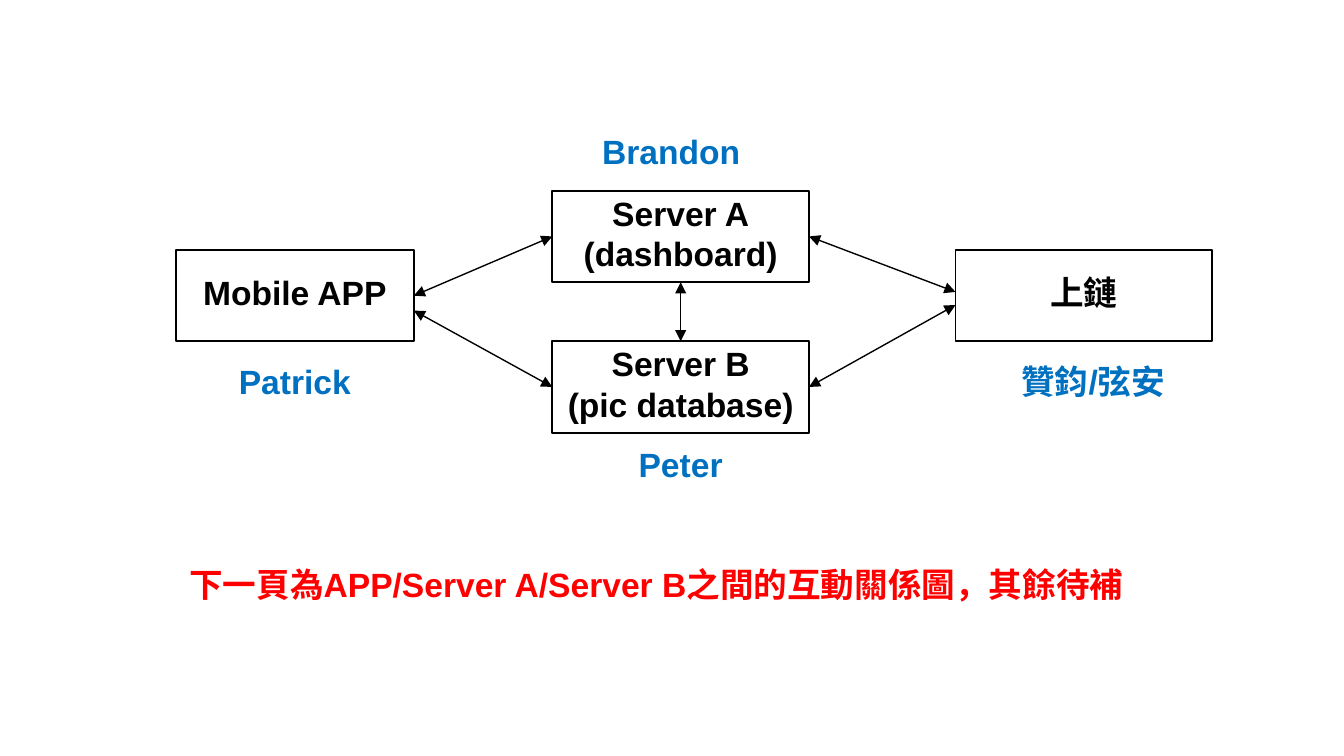
from dataclasses import dataclass

from lxml import etree
from pptx import Presentation
from pptx import util as u
from pptx.dml.color import RGBColor
from pptx.enum import shapes, text
from pptx.oxml import ns

Pt = u.Pt


@dataclass
class Theme:
    """Colours, type and line widths of the slide."""
    ink: str = "000000"
    paper: str = "FFFFFF"
    owner: str = "0070C0"
    alert: str = "FF0000"
    font: str = "Arial"
    size: float = 18
    edge: float = 1
    link: float = 0.75


look = Theme()


def rgb(code):
    """Turn a hex code into a colour."""
    return RGBColor.from_string(code)


def write(shape, words, color, align=text.PP_ALIGN.CENTER):
    """Fill a shape with bold lines of text."""
    frame = shape.text_frame
    frame.word_wrap = True
    frame.vertical_anchor = text.MSO_ANCHOR.MIDDLE
    frame.margin_top, frame.margin_bottom = Pt(0), Pt(3.6)
    frame.text = words
    for para in frame.paragraphs:
        para.alignment = align
        font = para.font
        font.name, font.size, font.bold = look.font, Pt(look.size), True
        font.color.rgb = rgb(color)


def node(slide, box, words):
    """Draw one outlined system box."""
    shape = slide.shapes.add_shape(
        shapes.MSO_SHAPE.RECTANGLE, *map(Pt, box))
    shape.shadow.inherit = False
    shape.fill.solid()
    shape.fill.fore_color.rgb = rgb(look.paper)
    shape.line.color.rgb = rgb(look.ink)
    shape.line.width = Pt(look.edge)
    write(shape, words, look.ink)


def label(slide, box, words, color, align=text.PP_ALIGN.CENTER):
    """Place free text in a box."""
    write(slide.shapes.add_textbox(*map(Pt, box)), words, color, align)


def link(slide, start, end):
    """Join two points with a two-headed arrow."""
    line = slide.shapes.add_connector(
        shapes.MSO_CONNECTOR.STRAIGHT, *map(Pt, start + end))
    line.line.color.rgb = rgb(look.ink)
    line.line.width = Pt(look.link)
    for tag in ("a:headEnd", "a:tailEnd"):
        etree.SubElement(line.line._get_or_add_ln(), ns.qn(tag),
                         type="triangle")
    etree.SubElement(line._element.spPr, ns.qn("a:effectLst"))


def diagram(slide, left, top, width, height):
    """Draw the systems, their owners and their links."""
    slim, wide, tall = 127.4, 137.5, 49
    hub, end = left + 201.6, left + width - wide
    side, low = top + 31.7, top + height - tall

    for x, y, w, words in (
            (left, side, slim, "Mobile APP"),
            (hub, top, wide, "Server A\n(dashboard)"),
            (hub, low, wide, "Server B\n(pic database)"),
            (end, side, wide, "上鏈")):
        node(slide, (x, y, w, tall), words)

    app, far, core = left + slim, hub + wide, hub + wide / 2
    mid, high, deep = side + tall / 2, top + tall / 2, low + tall / 2
    for start, stop in (
            ((app, mid), (hub, high)),
            ((app, mid + 8), (hub, deep)),
            ((core, low), (core, top + tall)),
            ((far, deep), (end, mid + 5)),
            ((far, high), (end, mid - 2))):
        link(slide, start, stop)

    below = side + 47.5
    for x, y, name in (
            (left, below, "Patrick"),
            (core - slim / 2, low + 43.2, "Peter"),
            (hub, top - 43.9, "Brandon"),
            (left + width - slim, below, "贊鈞/弦安")):
        label(slide, (x, y, slim, tall), name, look.owner)


def main():
    """Build and save the slide."""
    deck = Presentation()
    deck.slide_width, deck.slide_height = Pt(720), Pt(405)
    slide = deck.slides.add_slide(deck.slide_layouts[6])
    diagram(slide, 94.3, 102.2, 555.1, 129.6)
    label(slide, (94.3, 290.2, 549.4, 49),
          "下一頁為APP/Server A/Server B之間的互動關係圖，其餘待補",
          look.alert, text.PP_ALIGN.LEFT)
    deck.save("out.pptx")


main()
